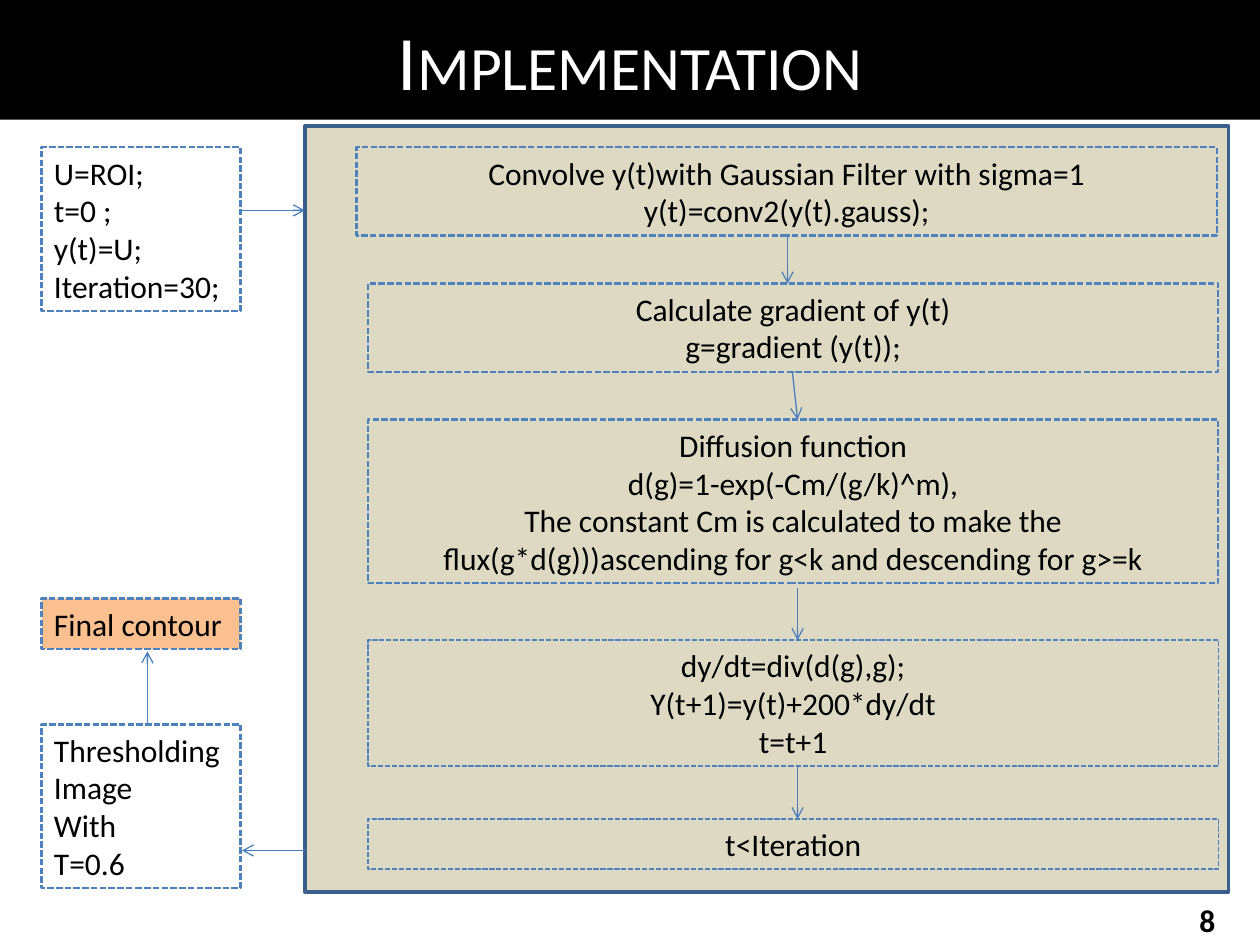
from lxml import etree
from pptx import Presentation
from pptx import util as u
from pptx.dml.color import RGBColor
from pptx.enum import dml, shapes, text
from pptx.oxml.ns import qn

COLORS = {
    "black": "000000", "white": "FFFFFF", "panel": "DDD9C3", "frame": "3A5F8C",
    "box": "4F81BD", "arrow": "4B7EBC", "result": "FAC090",
}
LEFT, CENTER = text.PP_ALIGN.LEFT, text.PP_ALIGN.CENTER


def color(name):
    return RGBColor.from_string(COLORS[name])


def write(shape, lines, size=18, ink="black", align=LEFT, bold=False,
          small_caps=False, anchor=text.MSO_ANCHOR.TOP, grow=True):
    """Fill a shape with one paragraph per line."""
    frame = shape.text_frame
    frame.word_wrap = True
    frame.vertical_anchor = anchor
    frame.auto_size = (text.MSO_AUTO_SIZE.SHAPE_TO_FIT_TEXT if grow
                       else text.MSO_AUTO_SIZE.NONE)
    for index, line in enumerate(lines):
        paragraph = frame.add_paragraph() if index else frame.paragraphs[0]
        paragraph.alignment = align
        run = paragraph.add_run()
        run.text = line
        run.font.name = "Calibri"
        run.font.size = u.Pt(size)
        run.font.bold = bold
        run.font.color.rgb = color(ink)
        if small_caps:
            run.font._element.set("cap", "small")


class FlowSlide:
    def __init__(self, presentation):
        self.slide = presentation.slides.add_slide(presentation.slide_layouts[6])

    def rectangle(self, left, top, width, height, fill=None, line=None,
                  weight=1.25, dashed=False):
        shape = self.slide.shapes.add_shape(
            shapes.MSO_SHAPE.RECTANGLE,
            *map(u.Inches, (left, top, width, height)))
        shape.shadow.inherit = False
        if fill:
            shape.fill.solid()
            shape.fill.fore_color.rgb = color(fill)
        else:
            shape.fill.background()
        if line:
            shape.line.color.rgb = color(line)
            shape.line.width = u.Pt(weight)
            if dashed:
                shape.line.dash_style = dml.MSO_LINE.SQUARE_DOT
        else:
            shape.line.fill.background()
        return shape

    def step(self, left, top, width, lines, rows=None, align=CENTER,
             weight=1.25, fill=None):
        """Dashed box whose height follows its number of text rows."""
        height = 0.1 + 0.3 * (rows or len(lines))
        shape = self.rectangle(left, top, width, height, fill, "box", weight, True)
        write(shape, lines, align=align)

    def label(self, left, top, width, height, words, **style):
        shape = self.slide.shapes.add_textbox(
            *map(u.Inches, (left, top, width, height)))
        write(shape, [words], **style)

    def arrow(self, *ends):
        connector = self.slide.shapes.add_connector(
            shapes.MSO_CONNECTOR.STRAIGHT, *map(u.Inches, ends))
        connector.line.color.rgb = color("arrow")
        connector.line.width = u.Pt(0.75)
        etree.SubElement(connector.line._get_or_add_ln(), qn("a:tailEnd"), type="arrow")
        etree.SubElement(connector._element.spPr, qn("a:effectLst"))


presentation = Presentation()
presentation.slide_width = u.Inches(10)
presentation.slide_height = u.Inches(7.5)
flow = FlowSlide(presentation)

# Loop panel, title bar and page number
flow.rectangle(2.42, 1, 7.33, 6.08, "panel", "frame", 2)
title = flow.rectangle(0, 0, 10, 0.95, "black")
write(title, ["Implementation"], size=44, ink="white", align=CENTER,
      small_caps=True, anchor=text.MSO_ANCHOR.MIDDLE, grow=False)
flow.label(9.42, 7.1, 0.42, 0.4, "8", bold=True)

# Steps inside the loop: left, top, width, line weight, rows, lines
loop_steps = [
    (2.83, 1.17, 6.83, 1.25, 2, ["Convolve y(t)with Gaussian Filter with sigma=1",
                                 "y(t)=conv2(y(t).gauss);"]),
    (2.92, 2.25, 6.75, 1.25, 2, ["Calculate gradient of y(t)", "g=gradient (y(t));"]),
    (2.92, 3.33, 6.75, 1.25, 4, [
        "Diffusion function", "d(g)=1-exp(-Cm/(g/k)^m),",
        "The constant Cm is calculated to make the flux(g*d(g)))ascending "
        "for g<k and descending for g>=k"]),
    (2.92, 5.08, 6.75, 1, 3, ["dy/dt=div(d(g),g);", "Y(t+1)=y(t)+200*dy/dt", "t=t+1"]),
    (2.92, 6.5, 6.75, 1, 1, ["t<Iteration"]),
]
for left, top, width, weight, rows, lines in loop_steps:
    flow.step(left, top, width, lines, rows, weight=weight)

# Steps beside the loop: top, rows, fill, lines
side_steps = [
    (1.17, 4, None, ["U=ROI;", "t=0 ;", "y(t)=U;", "Iteration=30;"]),
    (5.75, 4, None, ["Thresholding Image", "With", "T=0.6"]),
    (4.75, 1, "result", ["Final contour"]),
]
for top, rows, fill, lines in side_steps:
    flow.step(0.33, top, 1.58, lines, rows, LEFT, fill=fill)

# Arrows: start x, start y, end x, end y
for ends in [
    (1.92, 1.67, 2.42, 1.67),
    (6.25, 1.87, 6.25, 2.25),
    (6.29, 2.96, 6.33, 3.33),
    (6.33, 4.67, 6.33, 5.08),
    (6.33, 6.08, 6.33, 6.5),
    (2.42, 6.75, 1.92, 6.75),
    (1.17, 5.75, 1.17, 5.17),
]:
    flow.arrow(*ends)

presentation.save("out.pptx")
